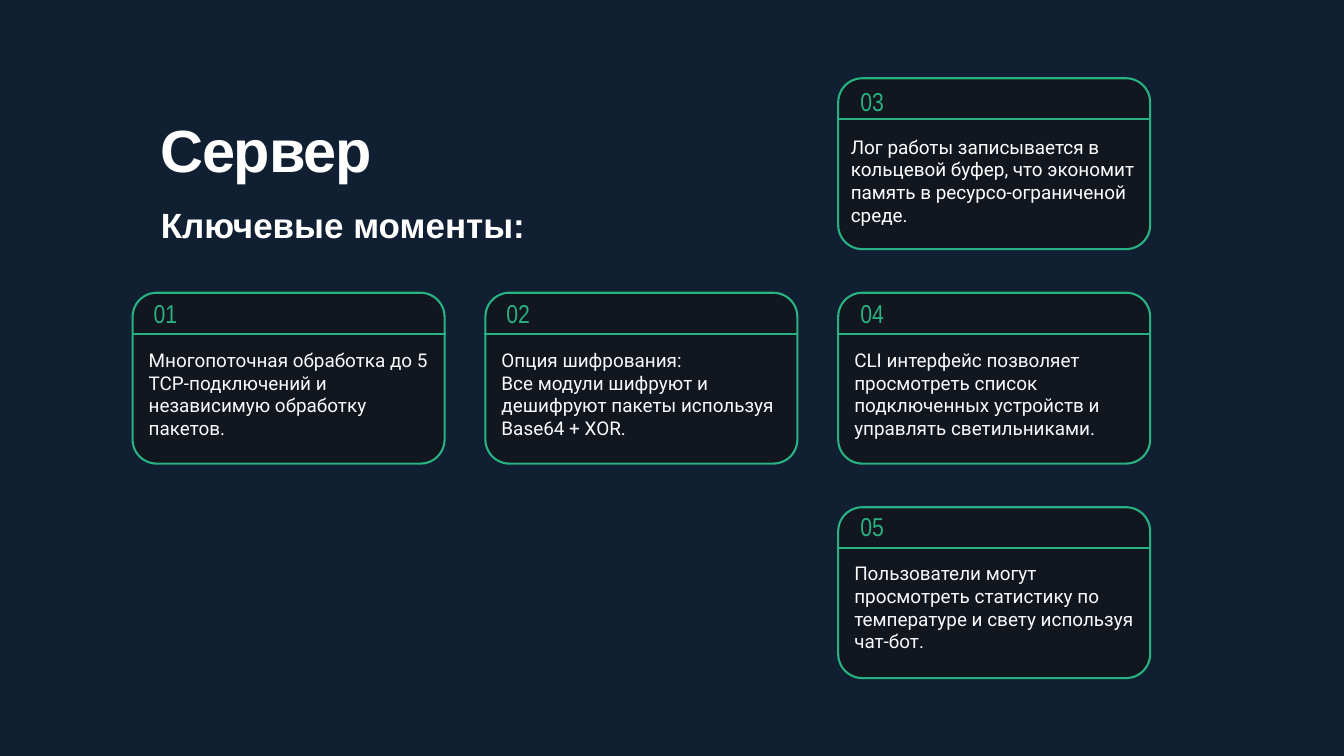
from dataclasses import dataclass

from lxml import etree
from pptx import Presentation
from pptx.dml.color import RGBColor
from pptx.enum.shapes import MSO_CONNECTOR, MSO_SHAPE
from pptx.enum.text import MSO_ANCHOR, MSO_AUTO_SIZE, PP_ALIGN
from pptx.oxml.ns import qn
from pptx.util import Pt

ROUNDED = MSO_SHAPE.ROUNDED_RECTANGLE
STRAIGHT = MSO_CONNECTOR.STRAIGHT
TOP, MIDDLE = MSO_ANCHOR.TOP, MSO_ANCHOR.MIDDLE
LEFT, CENTER = PP_ALIGN.LEFT, PP_ALIGN.CENTER
NO_FIT, GROW = MSO_AUTO_SIZE.NONE, MSO_AUTO_SIZE.SHAPE_TO_FIT_TEXT
TITLE_ONLY = 5


@dataclass(frozen=True)
class Theme:
    """Colours and text formats of the deck."""

    background = RGBColor.from_string("101F32")
    panel = RGBColor.from_string("11161F")
    accent = RGBColor.from_string("2AB181")
    white = RGBColor.from_string("FFFFFF")
    soft_white = RGBColor.from_string("F9FAFB")
    title = {"name": "Arial", "size": Pt(85), "bold": True}
    subtitle = {"name": "Arial", "size": Pt(50), "bold": True}
    number = {"name": "Arial Narrow", "size": Pt(37)}
    body = {"name": "Roboto", "size": Pt(27)}
    stroke = Pt(3)


@dataclass(frozen=True)
class Card:
    """One numbered point, its grid cell and its text offsets."""

    column: int
    row: int
    lines: tuple
    number_top: float = 2.9
    body_left: float = 18.7
    body_top: float = 76.3
    body_width: float = 407.5
    color: RGBColor = Theme.soft_white


CARD_LEFT, CARD_TOP = 189.4, 111.8
COLUMN_STEP, ROW_STEP = 504, 306.4
CARD_WIDTH, CARD_HEIGHT = 445.7, 244.1
HEADER_HEIGHT, RULE_OVERHANG = 58.6, 1.4

CARDS = (
    Card(0, 1, ("Многопоточная обработка до 5 TCP-подключений и независимую обработку пакетов.",)),
    Card(1, 1, ("Опция шифрования:",
                "Все модули шифруют и дешифруют пакеты используя Base64 + XOR.")),
    Card(2, 0, ("Лог работы записывается в кольцевой буфер, что экономит "
                "память в ресурсо-ограниченой среде.",),
         number_top=6.3, body_left=13.7, body_top=78.3, body_width=417.6, color=Theme.white),
    Card(2, 1, ("CLI интерфейс позволяет просмотреть список подключенных "
                "устройств и управлять светильниками.",)),
    Card(2, 2, ("Пользователи могут просмотреть статистику по температуре "
                "и свету используя чат-бот.",),
         number_top=0, body_top=74.7),
)


def apply_format(target, values):
    """Set each attribute of the target from a dict."""
    for name, value in values.items():
        setattr(target, name, value)


def write_text(box, lines, font, color, align=LEFT, inset=4.3, **frame_format):
    """Fill a text shape with formatted paragraphs."""
    frame = box.text_frame
    margins = {f"margin_{side}": Pt(inset) for side in ("left", "top", "right", "bottom")}
    apply_format(frame, {"word_wrap": True, "auto_size": NO_FIT,
                         "vertical_anchor": TOP, **margins, **frame_format})
    for index, line in enumerate(lines):
        para = frame.add_paragraph() if index else frame.paragraphs[0]
        para.alignment = align
        span = para.add_run()
        span.text = line
        apply_format(span.font, font)
        span.font.color.rgb = color


def add_text(page, left, top, width, height, *content, **options):
    """Add a text box with the given content."""
    box = page.shapes.add_textbox(Pt(left), Pt(top), Pt(width), Pt(height))
    write_text(box, *content, **options)


def add_title(page, text):
    """Place and format the title placeholder."""
    title = page.shapes.title
    apply_format(title, {"left": Pt(224.6), "top": Pt(177.1),
                         "width": Pt(769.7), "height": Pt(113)})
    write_text(title, [text], Theme.title, Theme.white)
    para = title.text_frame.paragraphs[0]
    para.line_spacing = 0.8
    para.runs[0]._r.get_or_add_rPr().set("spc", "-170")


def add_panel(page, left, top):
    """Draw a rounded card outline."""
    panel = page.shapes.add_shape(ROUNDED, Pt(left), Pt(top), Pt(CARD_WIDTH), Pt(CARD_HEIGHT))
    panel.shadow.inherit = False
    panel.adjustments[0] = 0.141
    panel.fill.solid()
    panel.fill.fore_color.rgb = Theme.panel
    panel.line.color.rgb = Theme.accent
    panel.line.width = Theme.stroke


def add_rule(page, left, right, top):
    """Draw a horizontal rule without a shadow."""
    rule = page.shapes.add_connector(STRAIGHT, Pt(left), Pt(top), Pt(right), Pt(top))
    rule.line.color.rgb = Theme.accent
    rule.line.width = Theme.stroke
    etree.SubElement(rule._element.spPr, qn("a:effectLst"))


def add_card(page, number, card):
    """Add a panel with its rule, number and body text."""
    left = CARD_LEFT + card.column * COLUMN_STEP
    top = CARD_TOP + card.row * ROW_STEP
    add_panel(page, left, top)
    add_rule(page, left - RULE_OVERHANG, left + CARD_WIDTH + RULE_OVERHANG, top + HEADER_HEIGHT)
    number_left = left + (24.8 if card.column == 2 else 23.2)
    add_text(page, number_left, top + card.number_top, 47.5, 53.3,
             [f"{number:02}"], Theme.number, Theme.accent, align=CENTER,
             word_wrap=False, auto_size=GROW, vertical_anchor=MIDDLE)
    add_text(page, left + card.body_left, top + card.body_top, card.body_width, 136.1,
             card.lines, Theme.body, card.color, auto_size=GROW, vertical_anchor=MIDDLE)


def main():
    """Build and save the server slide."""
    deck = Presentation()
    apply_format(deck, {"slide_width": Pt(1920), "slide_height": Pt(1080)})
    page = deck.slides.add_slide(deck.slide_layouts[TITLE_ONLY])
    page.background.fill.solid()
    page.background.fill.fore_color.rgb = Theme.background
    add_title(page, "Сервер")
    add_text(page, 226.1, 286.6, 1690, 73.4, ["Ключевые моменты:"],
             Theme.subtitle, Theme.white, inset=3.6)
    for number, card in enumerate(CARDS, start=1):
        add_card(page, number, card)
    deck.save("out.pptx")


if __name__ == "__main__":
    main()
